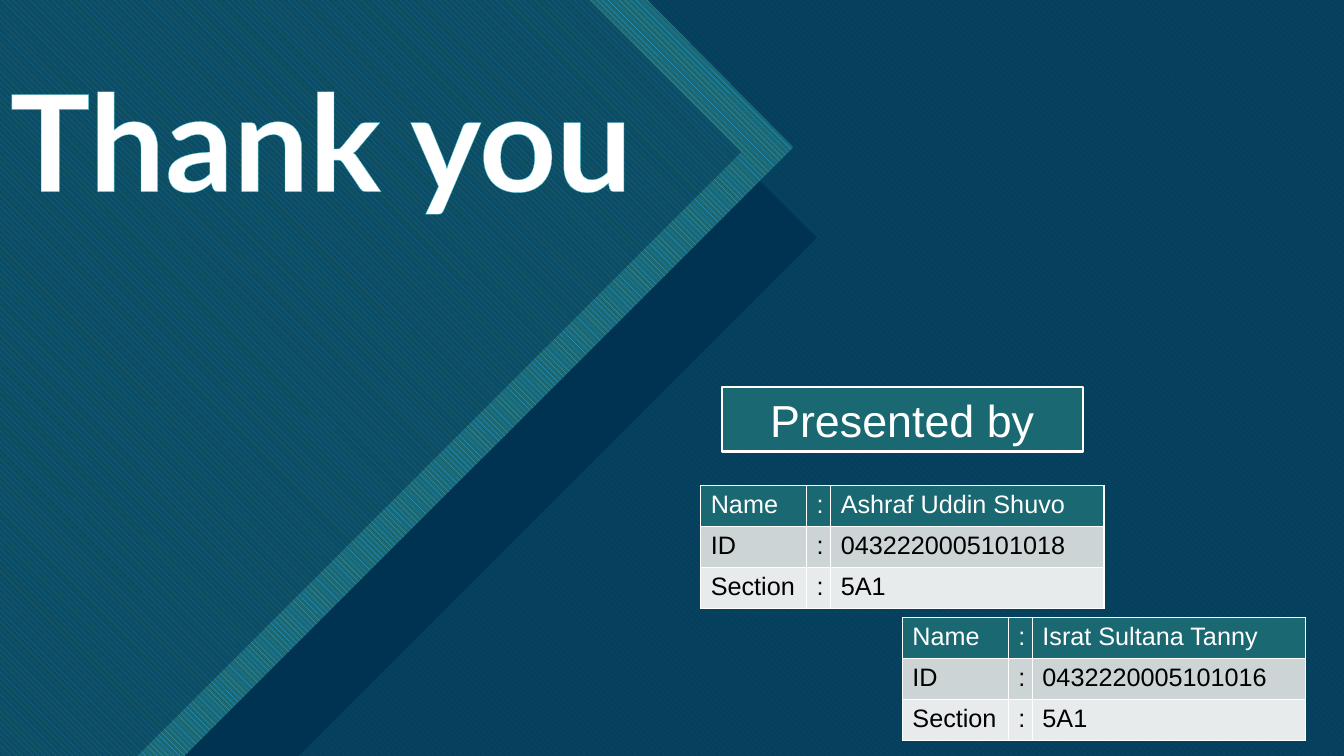
from lxml.etree import SubElement
from pptx import Presentation
from pptx.dml.color import RGBColor
from pptx.enum.dml import MSO_PATTERN
from pptx.enum.shapes import MSO_SHAPE
from pptx.enum.text import MSO_ANCHOR, PP_ALIGN
from pptx.oxml import parse_xml
from pptx.oxml.ns import nsdecls, qn
from pptx.util import Pt

PX = 9144  # one px is a hundredth of an inch
WIDTH, HEIGHT = 1333, 750
WHITE, BLACK, NAVY, TEAL, AQUA = "FFFFFF", "000000", "003352", "1A6871", "47C3D3"
ROW_FILLS = [TEAL, "CDD4D5", "E8EBEB"]


def color(hex_code):
    return RGBColor.from_string(hex_code)


def emu(*lengths):
    return [length * PX for length in lengths]


def line_xml(tag, hex_code, points):
    return parse_xml(
        f'<a:{tag} {nsdecls("a")} w="{round(points * 12700)}"><a:solidFill>'
        f'<a:srgbClr val="{hex_code}"/></a:solidFill></a:{tag}>')


def write(frame, text, size, hex_code=WHITE, font="Arial", bold=False,
          align=PP_ALIGN.LEFT, spacing=None, outline=None):
    paragraph = frame.paragraphs[0]
    paragraph.alignment = align
    if spacing:
        paragraph.line_spacing = spacing
    run = paragraph.add_run()
    run.text = text
    run.font.size, run.font.name, run.font.bold = Pt(size), font, bold
    run.font.color.rgb = color(hex_code)
    if outline:
        run.font._element.insert(0, line_xml("ln", *outline))


def add_panel(slide, points, fill=NAVY, stripes=None, opacity=100):
    """Polygon with a plain fill, or striped when a stripe colour is given."""
    builder = slide.shapes.build_freeform(*points[0], scale=PX)
    builder.add_line_segments(points[1:], close=True)
    panel = builder.convert_to_shape()
    panel.shadow.inherit = False
    panel.line.fill.background()
    if stripes:
        panel.fill.patterned()
        panel.fill.pattern = MSO_PATTERN.WIDE_DOWNWARD_DIAGONAL
        panel.fill.fore_color.rgb = color(stripes)
        panel.fill.back_color.rgb = color(fill)
        return
    panel.fill.solid()
    panel.fill.fore_color.rgb = color(fill)
    if opacity < 100:
        tint = panel._element.spPr.find(f'{qn("a:solidFill")}/{qn("a:srgbClr")}')
        SubElement(tint, qn("a:alpha"), val=str(opacity * 1000))


def add_backdrop(slide, left, top, width, height):
    right, bottom = left + width, top + height

    def wedge(edge, tip_x, tip_y, foot, start=top):
        """Panel from the left edge to a right-angled tip."""
        return [(left, start), (left + edge, start), (left + tip_x, top + tip_y),
                (left + foot, bottom), (left, bottom)]

    # Striped ground under a navy veil
    ground = [(left, top), (right, top), (right, bottom), (left, bottom)]
    add_panel(slide, ground, fill=AQUA, stripes="0065A4")
    add_panel(slide, ground, opacity=90)

    # Shadow, striped band and inner field of the big arrow
    add_panel(slide, wedge(664, 810, 236, 296, start=top + 90))
    add_panel(slide, wedge(642, 787, 146, 183), fill="1B6872", stripes="2FAFFF")
    add_panel(slide, wedge(584, 735, 151, 136), opacity=51)


def add_title(slide, left, top, width, height):
    frame = slide.shapes.add_textbox(*emu(left, top, width, height)).text_frame
    frame.word_wrap = True
    frame.vertical_anchor = MSO_ANCHOR.MIDDLE
    write(frame, "Thank you", 96, font="Lato", bold=True, spacing=0.9,
          outline=(AQUA, 0.52))


def add_presented_by(slide, left, top, width, height):
    label = slide.shapes.add_shape(MSO_SHAPE.RECTANGLE, *emu(left, top, width, height))
    label.shadow.inherit = False
    label.fill.solid()
    label.fill.fore_color.rgb = color(TEAL)
    label.line.color.rgb = color(WHITE)
    label.line.width = Pt(1.5)
    label.text_frame.word_wrap = True
    write(label.text_frame, "Presented by", 32, align=PP_ALIGN.CENTER)


def add_presenter(slide, left, top, width, height, details):
    card = slide.shapes.add_table(len(details), 3, *emu(left, top, width, height)).table
    name_width, colon_width = 105, 23
    column_widths = [name_width, colon_width, width - name_width - colon_width]
    for column, column_width in zip(card.columns, column_widths):
        column.width = column_width * PX
    for row_index, (field, value) in enumerate(details):
        card.rows[row_index].height = height * PX // len(details)
        for column_index, text in enumerate([field, ":", value]):
            cell = card.cell(row_index, column_index)
            write(cell.text_frame, text, 18, WHITE if row_index == 0 else BLACK)
            cell.fill.solid()
            cell.fill.fore_color.rgb = color(ROW_FILLS[row_index])
            borders = cell._tc.get_or_add_tcPr()
            for position, side in enumerate(["lnL", "lnR", "lnT", "lnB"]):
                borders.insert(position, line_xml(side, WHITE, 1))


def main():
    deck = Presentation()
    deck.slide_width, deck.slide_height = emu(WIDTH, HEIGHT)
    slide = deck.slides.add_slide(deck.slide_layouts[6])
    add_backdrop(slide, 0, 0, WIDTH, HEIGHT)
    add_title(slide, 0, 79, 747, 136)
    add_presented_by(slide, 716, 384, 358, 64)
    presenters = [(695, 482, "Ashraf Uddin Shuvo", "0432220005101018"),
                  (895, 613, "Israt Sultana Tanny", "0432220005101016")]
    for left, top, name, student_id in presenters:
        add_presenter(slide, left, top, 399, 122,
                      [("Name", name), ("ID", student_id), ("Section", "5A1")])
    deck.save("out.pptx")


if __name__ == "__main__":
    main()
